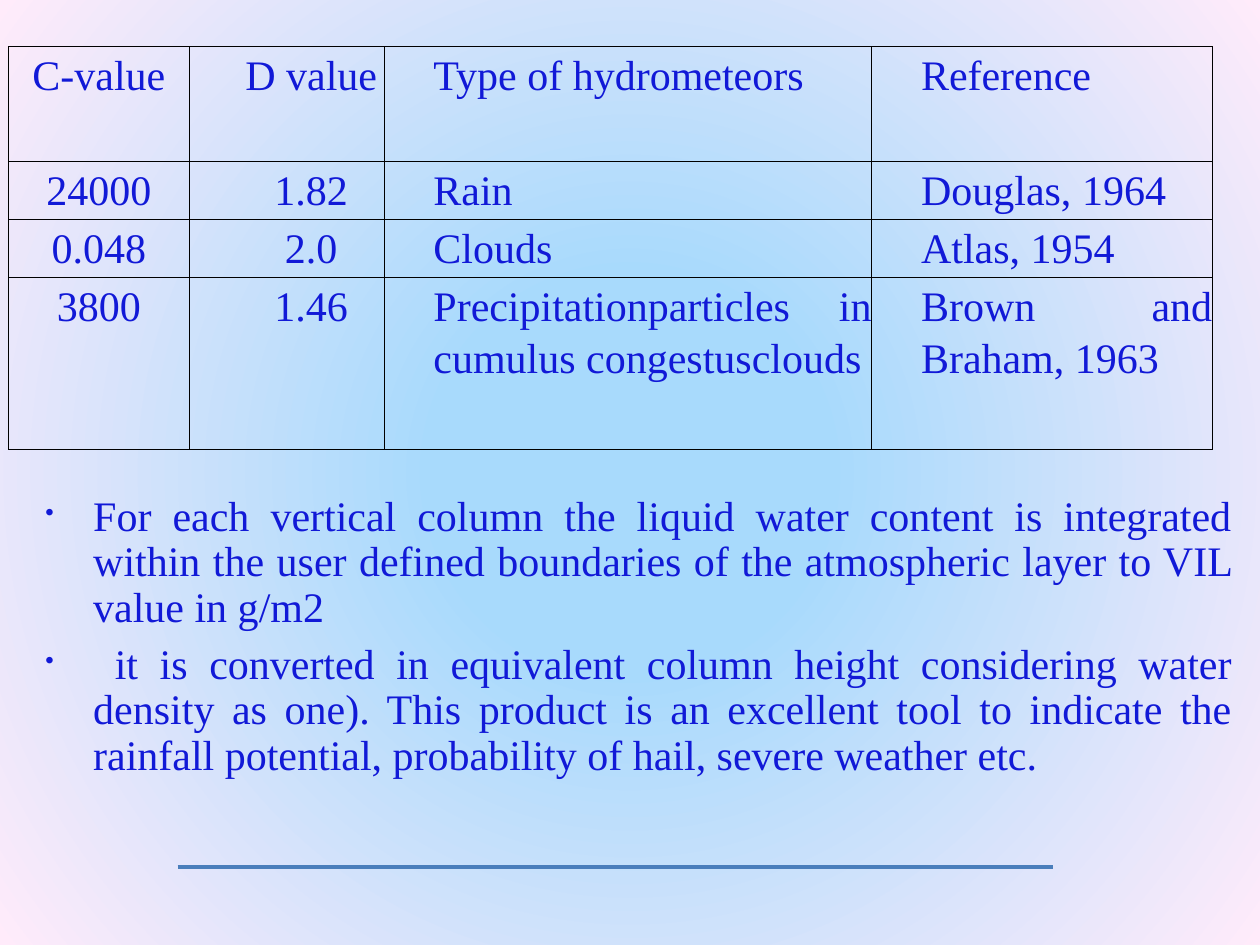
from lxml.etree import SubElement
from pptx import Presentation
from pptx.dml.color import RGBColor as RGB
from pptx.enum.shapes import MSO_CONNECTOR as Connector
from pptx.enum.text import PP_ALIGN as Align
from pptx.oxml import parse_xml
from pptx.oxml.ns import nsdecls, qn
from pptx.util import Inches, Pt

COLORS = {"text": "1119D7", "center": "A8DAFC", "edge": "FFEBFA",
          "rule": "4A7EBB", "border": "000000"}
COLUMNS = [14.3, 15.5, 38.7, 27]
ROWS = [9.1, 4.6, 4.6, 13.7]
ALIGNS = [Align.CENTER, Align.CENTER, Align.JUSTIFY, Align.JUSTIFY]
INDENTS = [(0.1, -0.1), (3.9, 0), (3.9, 0), (3.9, 0)]
HYDROMETEORS = [
    ["C-value", "D value", "Type of hydrometeors", "Reference"],
    ["24000", "1.82", "Rain", "Douglas, 1964"],
    ["0.048", "2.0", "Clouds ", "Atlas, 1954"],
    ["3800", "1.46", "Precipitationparticles in cumulus congestusclouds",
     "Brown and Braham, 1963"],
]
NOTES = [
    "For each vertical column the liquid water content is integrated within the "
    "user defined boundaries of the atmospheric layer to VIL value in g/m2",
    " it is converted in equivalent column height considering water density as "
    "one). This product is an excellent tool to indicate the rainfall potential, "
    "probability of hail, severe weather etc.",
]


class SlideBuilder:
    font, size = "Times New Roman", 24

    def __init__(self, prs):
        self.s = prs.slides.add_slide(prs.slide_layouts[6])
        self.unit = prs.slide_width / 100

    def grid(self, *steps):
        return [round(step * self.unit) for step in steps]

    def background(self, inner, outer):
        fill = self.s.background.fill
        fill.gradient()
        stops = zip(fill.gradient_stops, (inner, outer), (0.25, 1))
        for stop, color, position in stops:
            stop.color.rgb = RGB.from_string(COLORS[color])
            stop.position = position
        grad = self.s.element.find(".//" + qn("a:gradFill"))
        grad.replace(grad.find(qn("a:lin")), parse_xml(
            f'<a:path {nsdecls("a")} path="circle"><a:fillToRect l="50000" '
            't="50000" r="50000" b="50000"/></a:path>'))

    def paragraph(self, p, text, align, indent, spacing):
        p.text = text
        p.alignment, p.line_spacing = align, spacing
        pPr = p._p.get_or_add_pPr()
        for name, length in zip(("marL", "indent"), self.grid(*indent)):
            pPr.set(name, str(length))
        for r in p.runs:
            r.font.name, r.font.size = self.font, Pt(self.size)
            r.font.color.rgb = RGB.from_string(COLORS["text"])
        return pPr

    def borders(self, cell):
        tcPr = cell._tc.get_or_add_tcPr()
        for i, side in enumerate(("lnL", "lnR", "lnT", "lnB")):
            tcPr.insert(i, parse_xml(
                f'<a:{side} {nsdecls("a")} w="6350"><a:solidFill><a:srgbClr '
                f'val="{COLORS["border"]}"/></a:solidFill></a:{side}>'))

    def table(self, left, top, data):
        box = self.grid(left, top, sum(COLUMNS), sum(ROWS))
        table = self.s.shapes.add_table(len(ROWS), len(COLUMNS), *box).table
        table.first_row = table.horz_banding = False
        for column, width in zip(table.columns, self.grid(*COLUMNS)):
            column.width = width
        for row, height, texts in zip(table.rows, self.grid(*ROWS), data):
            row.height = height
            for cell, text, align, indent in zip(row.cells, texts, ALIGNS, INDENTS):
                cell.margin_left = cell.margin_right = 0
                cell.margin_top = cell.margin_bottom = 0
                cell.fill.background()
                self.borders(cell)
                p = cell.text_frame.paragraphs[0]
                self.paragraph(p, text, align, indent, 1.14)
                p.space_after = Pt(10)

    def bullets(self, left, top, width, height, texts):
        tf = self.s.shapes.add_textbox(*self.grid(left, top, width, height)).text_frame
        tf.word_wrap = True
        tf.margin_left = tf.margin_right = Inches(0.05)
        tf.margin_top = tf.margin_bottom = Inches(0.05)
        for i, text in enumerate(texts):
            p = tf.add_paragraph() if i else tf.paragraphs[0]
            pPr = self.paragraph(p, text, Align.JUSTIFY, (3.8, -3.8), 0.9)
            p.space_before = Pt(7)
            SubElement(pPr, qn("a:buSzPct"), val="60000")
            SubElement(pPr, qn("a:buChar"), char="•")

    def rule(self, left, right, y):
        ends = self.grid(left, y, right, y)
        line = self.s.shapes.add_connector(Connector.STRAIGHT, *ends)
        line.line.color.rgb = RGB.from_string(COLORS["rule"])
        line.line.width = Pt(2)
        SubElement(line._element.spPr, qn("a:effectLst"))


def main():
    prs = Presentation()
    prs.slide_width, prs.slide_height = Inches(10), Inches(7.5)
    slide = SlideBuilder(prs)
    slide.background("center", "edge")
    slide.rule(14.1, 83.6, 68.8)
    slide.table(0.7, 3.7, HYDROMETEORS)
    slide.bullets(3.1, 38.8, 95.2, 23.9, NOTES)
    prs.save("out.pptx")


if __name__ == "__main__":
    main()
